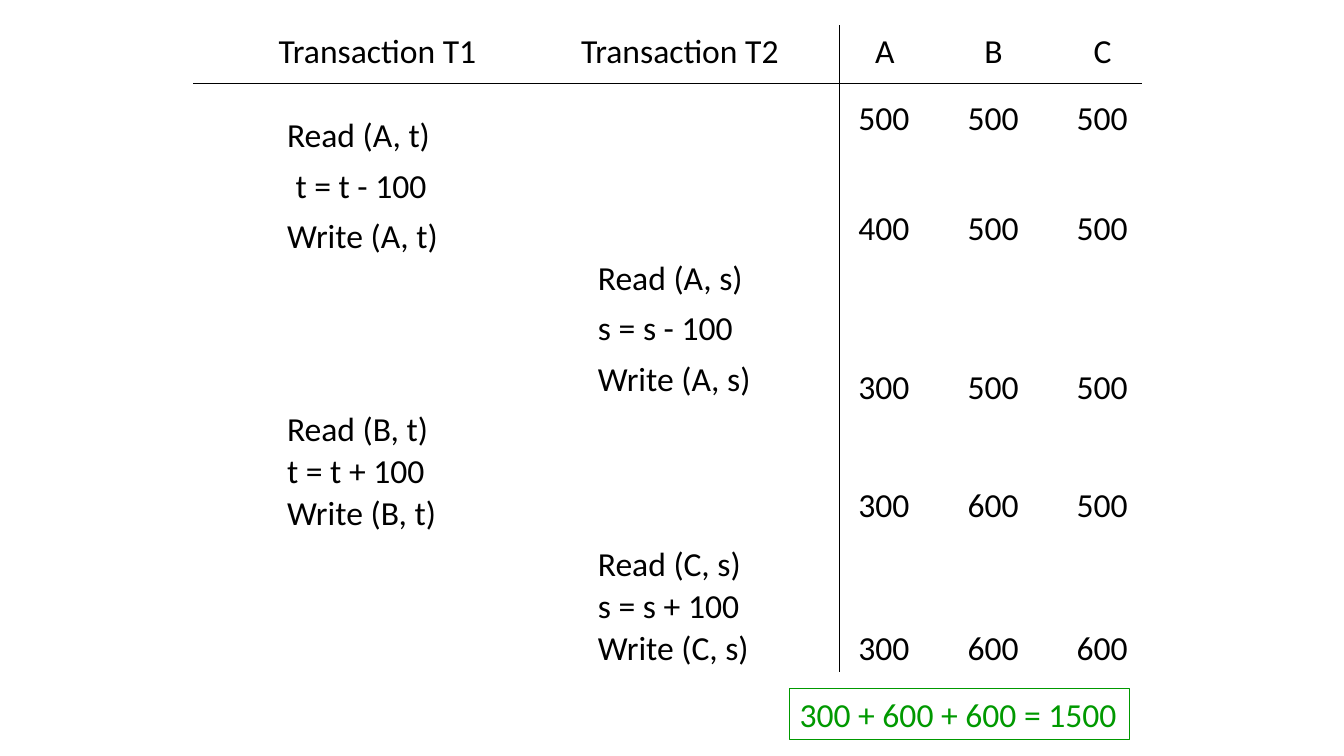
from pptx import Presentation
from pptx import util as u
from pptx.dml import color
from pptx.enum import shapes, text
from pptx.oxml import ns
from lxml import etree

Pt = u.Pt
INK = {"text": "000000", "sum": "009900", "page": "FFFFFF"}
FONT, SIZE, ROW = "Calibri", 24, 36  # ROW is the height of one line box


def rgb(name):
    return color.RGBColor.from_string(INK[name])


def write(shape, words, ink="text"):
    """Put one line of text into a shape."""
    frame = shape.text_frame
    frame.word_wrap = False
    frame.auto_size = text.MSO_AUTO_SIZE.SHAPE_TO_FIT_TEXT
    frame.vertical_anchor = text.MSO_ANCHOR.TOP
    line = frame.paragraphs[0]
    line.alignment = text.PP_ALIGN.LEFT
    run = line.add_run()
    run.text = words
    run.font.name, run.font.size = FONT, Pt(SIZE)
    run.font.color.rgb = rgb(ink)


def label(slide, words, x, y, wide):
    write(slide.shapes.add_textbox(Pt(x), Pt(y), Pt(wide), Pt(ROW)), words)


def rule(slide, x1, y1, x2, y2):
    line = slide.shapes.add_connector(
        shapes.MSO_CONNECTOR.STRAIGHT, Pt(x1), Pt(y1), Pt(x2), Pt(y2))
    line.line.color.rgb = rgb("text")
    line.line.width = Pt(0.75)
    etree.SubElement(line._element.spPr, ns.qn("a:effectLst"))


def grid(slide, x, y, wide, high, split):
    """Rule under the headings, and rule between steps and values."""
    rule(slide, x, y + 42, x + wide, y + 42)
    rule(slide, x + split, y, x + split, y + high)


def steps(slide, x, y, title, inset, groups):
    """One transaction: heading, then groups of steps at an even pitch."""
    label(slide, title, x, y, 157)
    for top, pitch, lines in groups:
        for i, (words, wide, shift) in enumerate(lines):
            label(slide, words, x + inset + shift, y + top + i * pitch, wide)


def values(slide, x, y, pitch, heads, rows):
    """Values of the items over time, one column for each item."""
    for i, (head, wide) in enumerate(heads):
        label(slide, head, x + 12 + i * pitch, y, wide)
    for top, row in rows:
        for i, value in enumerate(row):
            label(slide, str(value), x + i * pitch, y + top, 51)


def total(slide, x, y, wide, words):
    """Framed sum."""
    box = slide.shapes.add_shape(
        shapes.MSO_SHAPE.RECTANGLE, Pt(x), Pt(y), Pt(wide), Pt(ROW))
    box.shadow.inherit = False
    box.fill.background()
    box.line.color.rgb = rgb("sum")
    box.line.width = Pt(0.75)
    write(box, words, "sum")


def main():
    deck = Presentation()
    deck.slide_width, deck.slide_height = Pt(960), Pt(540)
    slide = deck.slides.add_slide(deck.slide_layouts[6])
    slide.background.fill.solid()
    slide.background.fill.fore_color.rgb = rgb("page")

    top = 18
    grid(slide, 138, top, 678, 462, split=462)

    # Steps: words, width, shift to the right
    steps(slide, 192, top, "Transaction T1", 6, [
        (60, 36, [("Read (A, t)", 117, 0), ("t = t - 100", 109, 6),
                  ("Write (A, t)", 129, 0)]),
        (270, 30, [("Read (B, t)", 116, 0), ("t = t + 100", 113, 0),
                   ("Write (B, t)", 122, 0)]),
    ])
    steps(slide, 408, top, "Transaction T2", 12, [
        (162, 36, [("Read (A, s)", 119, 0), ("s = s - 100", 112, 0),
                   ("Write (A, s)", 130, 0)]),
        (366, 30, [("Read (C, s)", 117, 0), ("s = s + 100", 116, 0),
                   ("Write (C, s)", 123, 0)]),
    ])

    # Values: offset from the heading, then A, B and C
    values(slide, 606, top, 78, [("A", 29), ("B", 27), ("C", 27)], [
        (48, (500, 500, 500)),
        (126, (400, 500, 500)),
        (240, (300, 500, 500)),
        (324, (300, 600, 500)),
        (426, (300, 600, 600)),
    ])
    total(slide, 564, 492, 243, "300 + 600 + 600 = 1500")

    deck.save("out.pptx")


if __name__ == "__main__":
    main()
